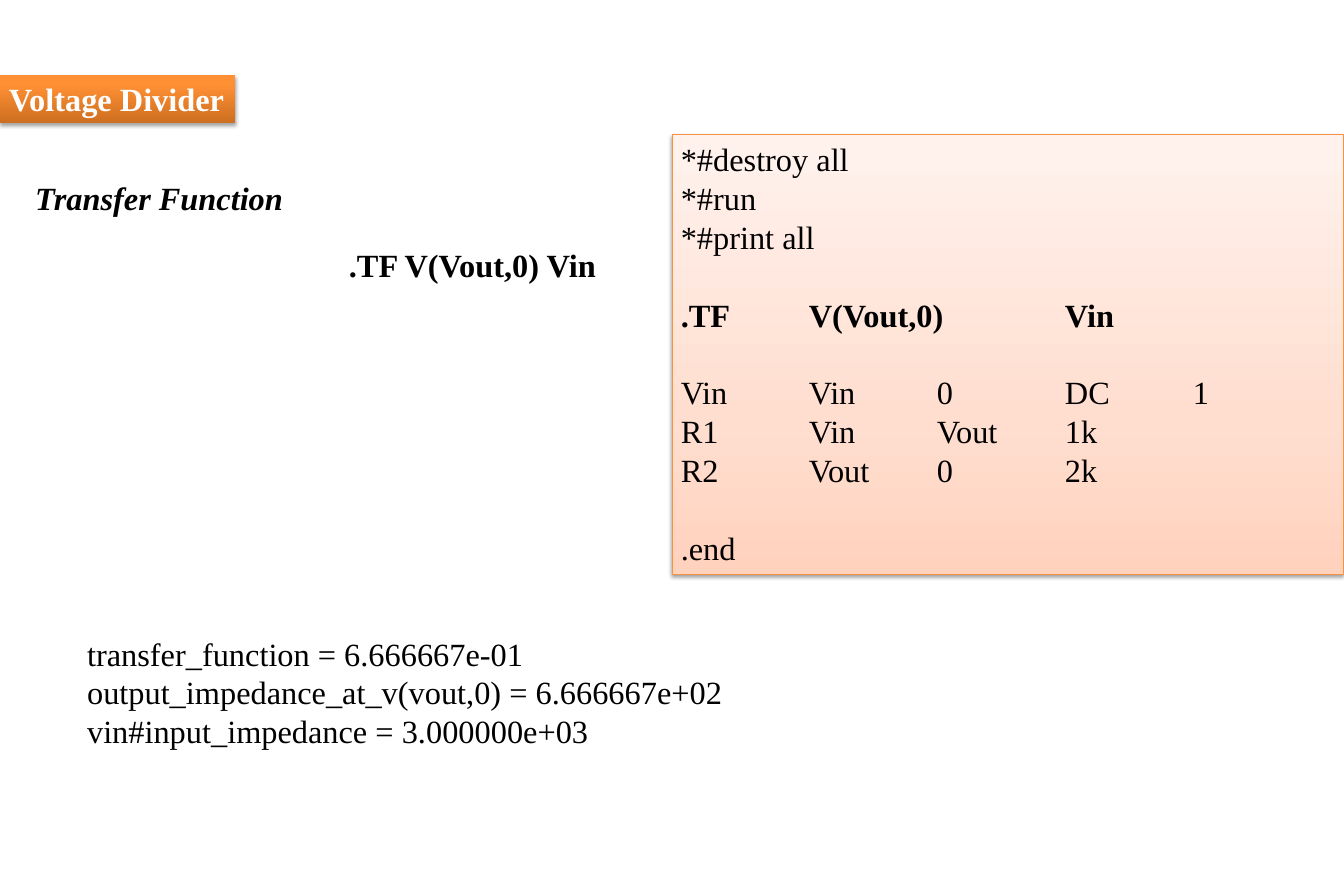
from lxml.etree import SubElement
from pptx import Presentation
from pptx.dml.color import RGBColor
from pptx.enum.shapes import MSO_SHAPE as Shape
from pptx.enum.text import MSO_ANCHOR as Anchor, PP_ALIGN as Align
from pptx.oxml.ns import qn
from pptx.util import Cm, Pt

BLACK = RGBColor(0x00, 0x00, 0x00)
WHITE = RGBColor(0xFF, 0xFF, 0xFF)
NETLIST_BORDER = RGBColor(0xF6, 0x92, 0x40)
TITLE_GRADIENT = [
    (0, RGBColor(0xCC, 0x6E, 0x20)),
    (80, RGBColor(0xFF, 0x90, 0x34)),
    (100, RGBColor(0xFF, 0x91, 0x36)),
]
NETLIST_GRADIENT = [
    (0, RGBColor(0xFF, 0xD2, 0xBD)),
    (35, RGBColor(0xFF, 0xDE, 0xD0)),
    (100, RGBColor(0xFF, 0xF2, 0xED)),
]
FONT = "Times New Roman"
SIZE = Pt(26)
LINE_PITCH = Pt(31.3)
COLUMN = Cm(3.63)

NETLIST = [
    ["*#destroy all", "*#run", "*#print all"],
    [".TF\tV(Vout,0)\tVin"],
    ["Vin\tVin\t0\tDC\t1", "R1\tVin\tVout\t1k", "R2\tVout\t0\t2k"],
    [".end"],
]
RESULTS = [
    "transfer_function = 6.666667e-01",
    "output_impedance_at_v(vout,0) = 6.666667e+02",
    "vin#input_impedance = 3.000000e+03",
]


def write(frame, lines, color=BLACK, bold=False, italic=False, wrap=True):
    frame.word_wrap = wrap
    frame.vertical_anchor = Anchor.TOP
    frame.text = "\n".join(lines)
    for paragraph in frame.paragraphs:
        paragraph.alignment = Align.LEFT
        paragraph.line_spacing = LINE_PITCH
        for run in paragraph.runs:
            run.font.name = FONT
            run.font.size = SIZE
            run.font.bold = bold
            run.font.italic = italic
            run.font.color.rgb = color


def add_note(slide, box, lines, **style):
    frame = slide.shapes.add_textbox(*box).text_frame
    frame.margin_left = frame.margin_right = Cm(0.36)
    frame.margin_top = frame.margin_bottom = Cm(0.18)
    write(frame, lines, **style)


def add_panel(slide, box, gradient, shadow_alpha, shadow_distance):
    panel = slide.shapes.add_shape(Shape.RECTANGLE, *box)
    panel.line.fill.background()
    panel.fill.gradient()
    panel.fill.gradient_angle = 90
    properties = panel._element.spPr
    stops = properties.find(".//" + qn("a:gsLst"))
    stops.clear()
    for position, color in gradient:
        stop = SubElement(stops, qn("a:gs"), pos=str(position * 1000))
        SubElement(stop, qn("a:srgbClr"), val=str(color))

    panel.shadow.inherit = False
    shadow = SubElement(
        properties.find(qn("a:effectLst")), qn("a:outerShdw"),
        blurRad=str(Pt(3.1)), dist=str(Pt(shadow_distance)),
        dir="5400000", rotWithShape="0")
    shade = SubElement(shadow, qn("a:srgbClr"), val=str(BLACK))
    SubElement(shade, qn("a:alpha"), val=str(shadow_alpha * 1000))
    return panel


def add_title(slide, box):
    banner = add_panel(slide, box, TITLE_GRADIENT, 35, 1.8)
    write(banner.text_frame, ["Voltage Divider"], WHITE, bold=True, wrap=False)


def add_netlist(slide, box):
    panel = add_panel(slide, box, NETLIST_GRADIENT, 38, 1.6)
    panel.line.color.rgb = NETLIST_BORDER
    panel.line.width = Pt(0.75)
    frame = panel.text_frame
    write(frame, [line for group in NETLIST for line in group])

    group_starts = {group[0] for group in NETLIST[1:]}
    for paragraph in frame.paragraphs:
        if paragraph.text in group_starts:
            paragraph.space_before = LINE_PITCH
        if paragraph.text.startswith(".TF"):
            for run in paragraph.runs:
                run.font.bold = True
        if "\t" in paragraph.text:
            tabs = SubElement(paragraph._p.get_or_add_pPr(), qn("a:tabLst"))
            for column in range(1, 5):
                SubElement(tabs, qn("a:tab"), pos=str(column * COLUMN), algn="l")


def add_analysis(slide, left, top):
    add_note(slide, (left, top, Cm(7.82), Cm(1.47)), ["Transfer Function"],
             bold=True, italic=True, wrap=False)
    add_note(slide, (left + Cm(8.89), top + Cm(1.9), Cm(7.8), Cm(1.47)),
             [".TF V(Vout,0) Vin"], bold=True, wrap=False)


def main():
    deck = Presentation()
    deck.slide_width, deck.slide_height = Cm(38.1), Cm(25.4)
    slide = deck.slides.add_slide(deck.slide_layouts[6])
    add_analysis(slide, Cm(0.64), Cm(4.88))
    add_note(slide, (Cm(2.11), Cm(17.78), Cm(24.77), Cm(3.71)), RESULTS)
    add_title(slide, (Cm(0), Cm(2.12), Cm(6.67), Cm(1.38)))
    add_netlist(slide, (Cm(19.05), Cm(3.81), Cm(19.05), Cm(12.48)))
    deck.save("out.pptx")


if __name__ == "__main__":
    main()
